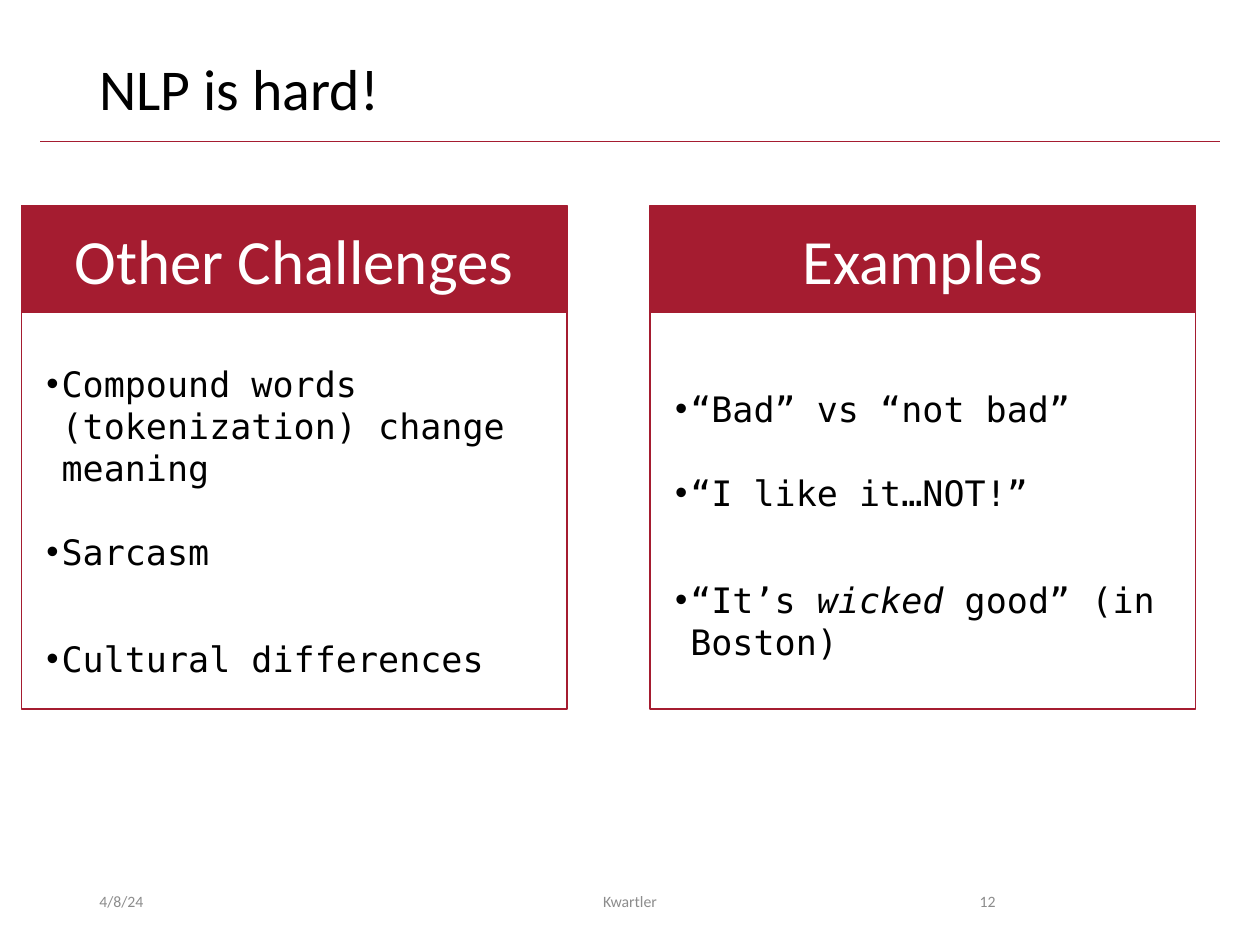
from dataclasses import dataclass

from lxml.etree import SubElement
from pptx import Presentation
from pptx.dml.color import RGBColor
from pptx.enum.shapes import MSO_CONNECTOR, MSO_SHAPE
from pptx.enum.text import MSO_ANCHOR, PP_ALIGN
from pptx.oxml.ns import qn
from pptx.util import Inches, Pt


@dataclass(frozen=True)
class Theme:
    red: str = "A51C30"
    ink: str = "000000"
    pale: str = "FFFFFF"
    gray: str = "8C8C8C"
    sans: str = "Calibri"
    mono: str = "DejaVu Sans Mono"
    title: int = 33
    head: int = 36
    body: int = 20
    foot: int = 9


class Deck:
    cols, rows = 100, 75

    def __init__(self, theme):
        self.theme = theme
        self.file = Presentation()
        self.file.slide_width = Inches(10)
        self.file.slide_height = Inches(7.5)
        self.slide = self.file.slides.add_slide(self.file.slide_layouts[6])

    def place(self, x, y, w, h):
        col = self.file.slide_width / self.cols
        row = self.file.slide_height / self.rows
        return [round(v) for v in (x * col, y * row, w * col, h * row)]

    def run(self, para, words, size, color, face, slant=False):
        run = para.add_run()
        run.text = words
        font = run.font
        font.size, font.name = Pt(size), face
        font.color.rgb = RGBColor.from_string(color)
        if slant:
            font.italic = True

    def text(self, area, words, size, color, align=PP_ALIGN.LEFT):
        frame = self.slide.shapes.add_textbox(*self.place(*area)).text_frame
        frame.word_wrap = True
        frame.vertical_anchor = MSO_ANCHOR.MIDDLE
        para = frame.paragraphs[0]
        para.alignment = align
        self.run(para, words, size, color, self.theme.sans)
        return para

    def rule(self, x, y, w):
        left, top, wide, _ = self.place(x, y, w, 0)
        line = self.slide.shapes.add_connector(
            MSO_CONNECTOR.STRAIGHT, left, top, left + wide, top)
        line.line.color.rgb = RGBColor.from_string(self.theme.red)
        line.line.width = Pt(0.5)
        SubElement(line._element.spPr, qn("a:effectLst"))

    def rect(self, area, fill=None):
        box = self.slide.shapes.add_shape(MSO_SHAPE.RECTANGLE, *self.place(*area))
        box.shadow.inherit = False
        box.line.color.rgb = RGBColor.from_string(self.theme.red)
        box.line.width = Pt(1)
        if fill:
            box.fill.solid()
            box.fill.fore_color.rgb = RGBColor.from_string(fill)
        else:
            box.fill.background()
        return box

    def list(self, area, items):
        look = self.theme
        frame = self.slide.shapes.add_textbox(*self.place(*area)).text_frame
        frame.word_wrap = True
        for i, (gap, runs) in enumerate(items):
            para = frame.add_paragraph() if i else frame.paragraphs[0]
            props = para._p.get_or_add_pPr()
            props.set("marL", str(Inches(0.12)))
            props.set("indent", str(Inches(-0.12)))
            SubElement(props, qn("a:buFont"), typeface="Arial")
            SubElement(props, qn("a:buChar"), char="•")
            if gap:
                para.space_before = Pt(gap)
            for words, slant in runs:
                self.run(para, words, look.body, look.ink, look.mono, slant)

    def panel(self, x, head, top, high, items):
        look, wide = self.theme, 43.3
        self.list((x + 1, top, wide - 1.8, high), items)
        box = self.rect((x, 16.3, wide, 8.5), look.red)
        box.text_frame.vertical_anchor = MSO_ANCHOR.MIDDLE
        para = box.text_frame.paragraphs[0]
        para.alignment = PP_ALIGN.CENTER
        self.run(para, head, look.head, look.pale, look.sans)
        self.rect((x, 17.8, wide, 38.5))


def main():
    look = Theme()
    deck = Deck(look)
    deck.rule(3.2, 11.2, 93.6)
    title = deck.text((6.9, 4, 86.2, 6.5), "NLP is hard!", look.title, look.ink)
    title.line_spacing = 0.9

    feet = [
        (6.9, 22.5, "4/8/24", PP_ALIGN.LEFT),
        (33.1, 33.8, "Kwartler", PP_ALIGN.CENTER),
        (70.6, 9.4, "12", PP_ALIGN.RIGHT),
    ]
    for x, wide, words, align in feet:
        deck.text((x, 69.5, wide, 4), words, look.foot, look.gray, align)

    gaps = (0, 24, 37)
    panels = [
        ("Other Challenges", 28.3, 23.1, [
            [("Compound words (tokenization) change meaning", False)],
            [("Sarcasm", False)],
            [("Cultural differences", False)],
        ]),
        ("Examples", 30.3, 19.7, [
            [("“Bad” vs “not bad”", False)],
            [("“I like it…NOT!”", False)],
            [("“It’s ", False), ("wicked", True), (" good” (in Boston)", False)],
        ]),
    ]
    for i, (head, top, high, items) in enumerate(panels):
        deck.panel(1.7 + 49.9 * i, head, top, high, zip(gaps, items))

    deck.file.save("out.pptx")


if __name__ == "__main__":
    main()
